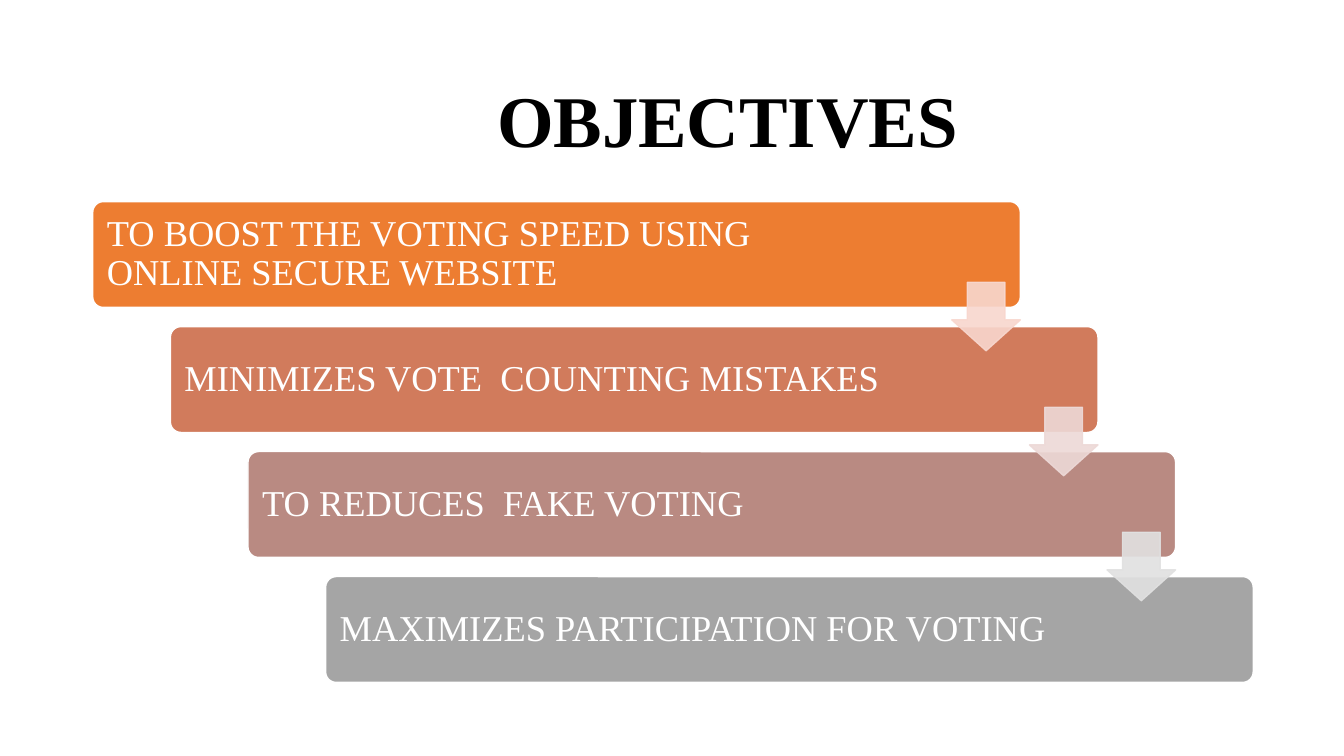
from dataclasses import dataclass

from lxml.etree import SubElement
from pptx import Presentation
from pptx.dml.color import RGBColor as Rgb
from pptx.enum.shapes import MSO_SHAPE as Shape
from pptx.enum.text import MSO_ANCHOR as Anchor
from pptx.oxml.ns import qn
from pptx.util import Inches, Pt


@dataclass(frozen=True)
class Theme:
    font: str = "Times New Roman"
    title_size: int = 52
    step_size: int = 26
    line_width: int = 1
    dark: str = "000000"
    light: str = "FFFFFF"
    steps: tuple = ("ED7D31", "D17B5C", "B98A82", "A5A5A5")
    arrows: tuple = ("F8D7CE", "EDD9D7", "E1E1E1")
    arrow_opacity: int = 90


class Staircase:
    """Draws titled, descending steps on one slide in a shared theme."""

    def __init__(self, slide, theme):
        self.slide = slide
        self.theme = theme

    def shape(self, kind, box, adjustments, fill, line, opacity=100):
        shape = self.slide.shapes.add_shape(kind, *map(Inches, box))
        shape.shadow.inherit = False
        for index, value in enumerate(adjustments):
            shape.adjustments[index] = value
        shape.line.width = Pt(self.theme.line_width)
        shape.fill.solid()
        for paint, color in ((shape.fill, fill), (shape.line.fill, line)):
            paint.solid()
            paint.fore_color.rgb = Rgb.from_string(color)
        if opacity < 100:
            for color in shape.element.spPr.iter(qn("a:srgbClr")):
                SubElement(color, qn("a:alpha"), val=str(opacity * 1000))

    def text(self, words, box, margins, size, color, bold=False):
        frame = self.slide.shapes.add_textbox(*map(Inches, box)).text_frame
        frame_format = {"word_wrap": True, "vertical_anchor": Anchor.MIDDLE}
        for side, margin in zip(("left", "top", "right", "bottom"), margins):
            frame_format[f"margin_{side}"] = Inches(margin)
        for name, value in frame_format.items():
            setattr(frame, name, value)
        paragraph = frame.paragraphs[0]
        paragraph.line_spacing = 0.9
        run = paragraph.add_run()
        run.text = words
        font_format = {"name": self.theme.font, "size": Pt(size), "bold": bold}
        for name, value in font_format.items():
            setattr(run.font, name, value)
        run.font.color.rgb = Rgb.from_string(color)

    def title(self, words):
        self.text(words, (0.92, 0.61, 11.5, 1.24), (4.01, 0.05, 0.1, 0.05),
                  self.theme.title_size, self.theme.dark, bold=True)

    def step(self, objective, left, top, fill, text_width):
        self.shape(Shape.ROUNDED_RECTANGLE, (left, top, 9.2, 1.05), (0.1,),
                   fill, self.theme.light)
        self.text(objective, (left + 0.03, top + 0.03, text_width, 0.99),
                  (0.11,) * 4, self.theme.step_size, self.theme.light)

    def arrow(self, left, top, color):
        self.shape(Shape.DOWN_ARROW, (left, top, 0.68, 0.68), (0.55, 0.45),
                   color, color, self.theme.arrow_opacity)


def main():
    theme = Theme()
    deck = Presentation()
    deck.slide_width, deck.slide_height = Inches(13.33), Inches(7.5)
    stairs = Staircase(deck.slides.add_slide(deck.slide_layouts[6]), theme)

    stairs.title("OBJECTIVES")
    objectives = (
        ("TO BOOST THE VOTING SPEED USING ONLINE SECURE WEBSITE", 7.98),
        ("MINIMIZES VOTE  COUNTING MISTAKES", 7.7),
        ("TO REDUCES  FAKE VOTING", 7.7),
        ("MAXIMIZES PARTICIPATION FOR VOTING", 7.7),
    )
    across, down = 0.77, 1.24
    for index, (objective, text_width) in enumerate(objectives):
        stairs.step(objective, 0.92 + index * across, 2 + index * down,
                    theme.steps[index], text_width)
    for index, color in enumerate(theme.arrows):
        stairs.arrow(9.44 + index * across, 2.8 + index * down, color)

    deck.save("out.pptx")


if __name__ == "__main__":
    main()
